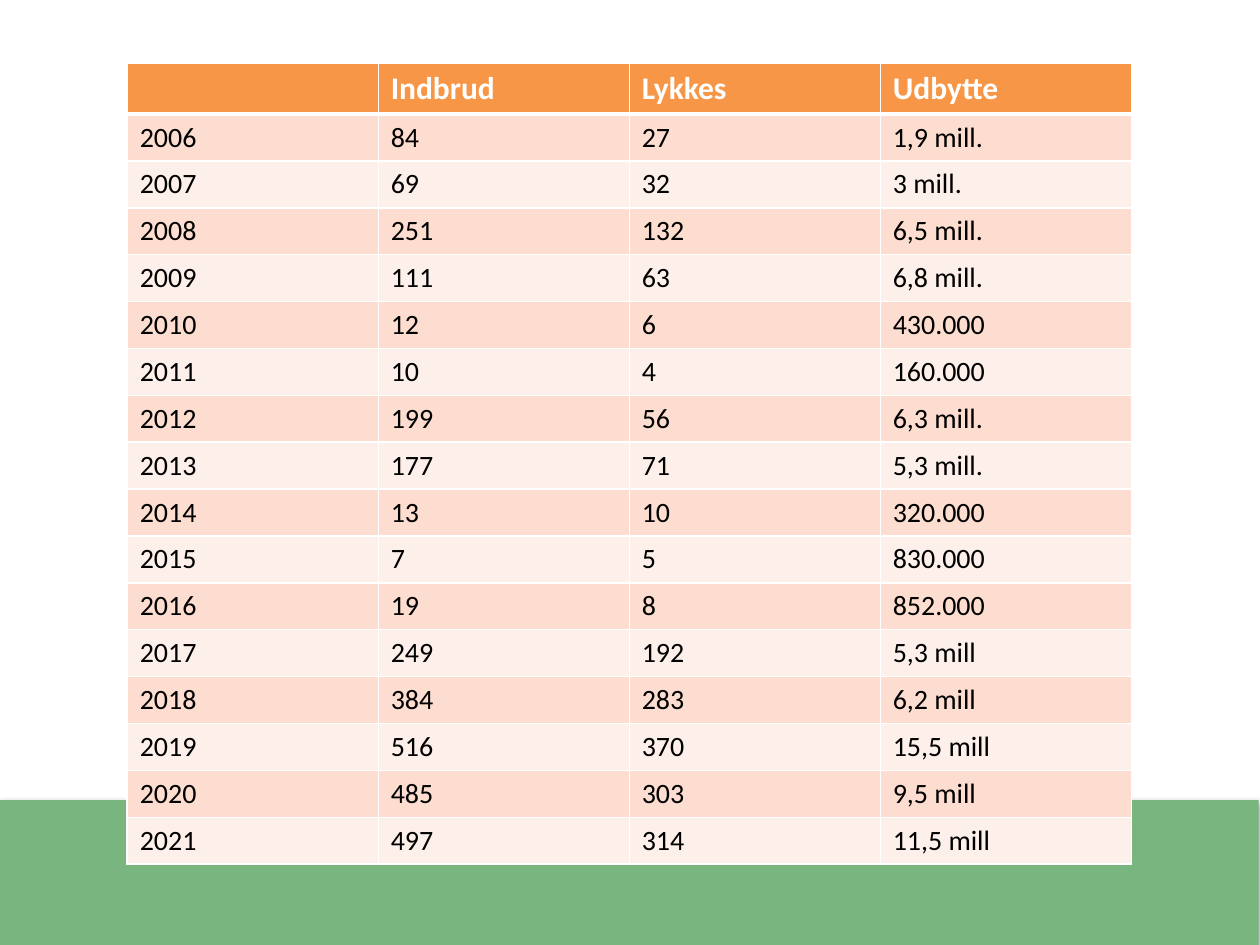
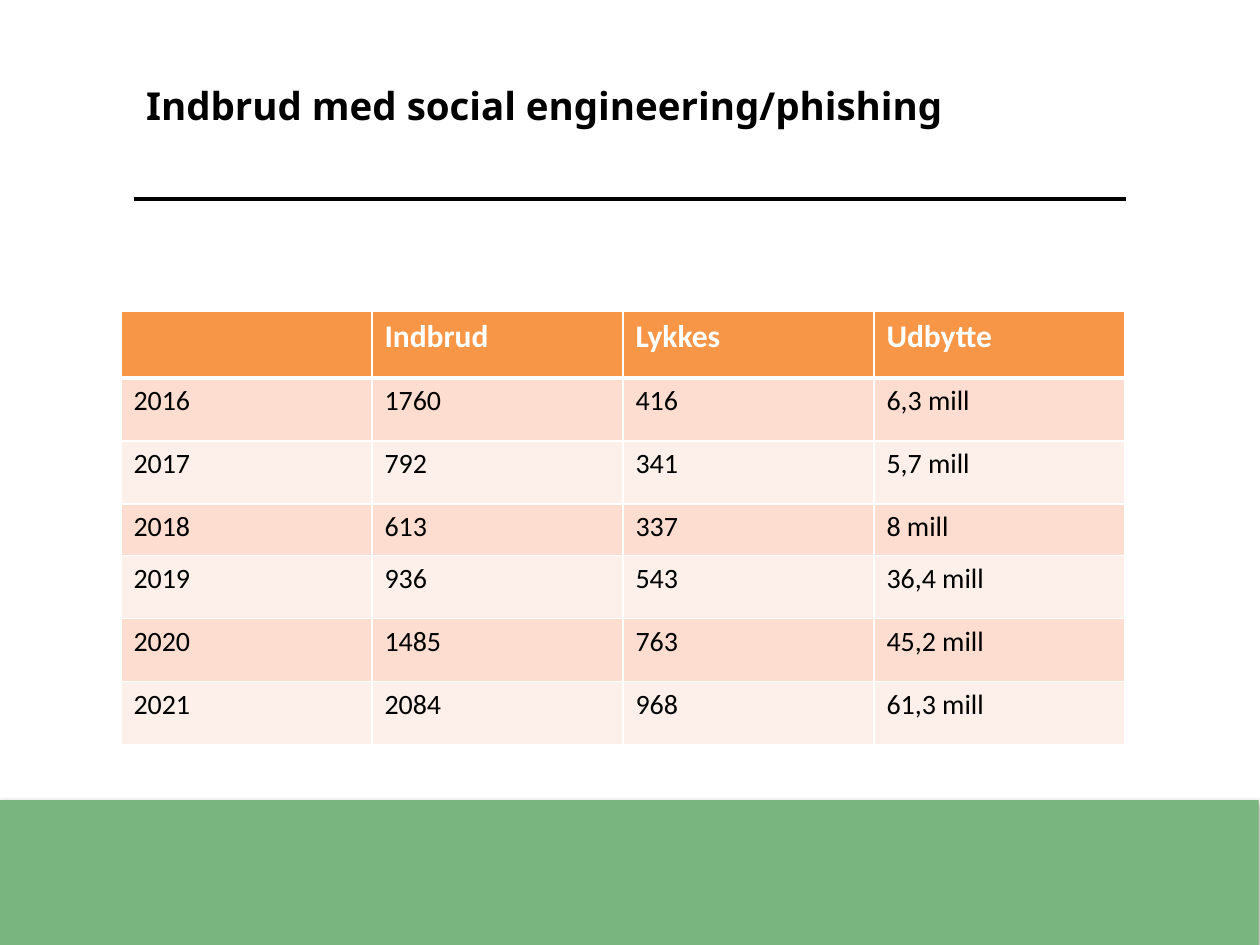
"""Builds two slides of break-in statistics by year."""
from lxml import etree
from pptx import Presentation
from pptx import util as u
from pptx.dml.color import RGBColor
from pptx.enum import shapes, text
from pptx.oxml import parse_xml
from pptx.oxml.ns import nsdecls, qn

COLORS = {"band": "79B57F", "head": "F79646", "odd": "FCDDCF",
          "even": "FDEFE9", "ink": "000000", "paper": "FFFFFF"}
HEADER = ("", "Indbrud", "Lykkes", "Udbytte")
COL_WIDTH = 7.97 / len(HEADER)
SLIDES = [
    {"title": None, "at": (1.01, 0.5), "heights": [0.39] + [0.37] * 16, "rows": [
        ("2006", "84", "27", "1,9 mill."),
        ("2007", "69", "32", "3 mill."),
        ("2008", "251", "132", "6,5 mill."),
        ("2009", "111", "63", "6,8 mill."),
        ("2010", "12", "6", "430.000"),
        ("2011", "10", "4", "160.000"),
        ("2012", "199", "56", "6,3 mill."),
        ("2013", "177", "71", "5,3 mill."),
        ("2014", "13", "10", "320.000"),
        ("2015", "7", "5", "830.000"),
        ("2016", "19", "8", "852.000"),
        ("2017", "249", "192", "5,3 mill"),
        ("2018", "384", "283", "6,2 mill"),
        ("2019", "516", "370", "15,5 mill"),
        ("2020", "485", "303", "9,5 mill"),
        ("2021", "497", "314", "11,5 mill")]},
    {"title": "Indbrud med social engineering/phishing", "at": (0.96, 2.47),
     "heights": [0.53, 0.5, 0.5, 0.41, 0.5, 0.5, 0.5], "rows": [
        ("2016", "1760", "416", "6,3 mill"),
        ("2017", "792", "341", "5,7 mill"),
        ("2018", "613", "337", "8 mill"),
        ("2019", "936", "543", "36,4 mill"),
        ("2020", "1485", "763", "45,2 mill"),
        ("2021", "2084", "968", "61,3 mill")]},
]


def rgb(name):
    return RGBColor.from_string(COLORS[name])


def write(tf, words, font="Calibri", size=16, bold=False, color="ink"):
    p = tf.paragraphs[0]
    p.alignment = text.PP_ALIGN.LEFT
    p.font.size = u.Pt(size)
    if words:
        r = p.add_run()
        r.text = words
        r.font.name, r.font.size, r.font.bold = font, u.Pt(size), bold
        r.font.color.rgb = rgb(color)


def set_borders(cell, top, bottom):
    tc_pr = cell._tc.get_or_add_tcPr()
    for side, width in (("L", 1), ("R", 1), ("T", top), ("B", bottom)):
        tc_pr.append(parse_xml(
            f'<a:ln{side} {nsdecls("a")} w="{u.Pt(width)}"><a:solidFill>'
            f'<a:srgbClr val="{COLORS["paper"]}"/></a:solidFill></a:ln{side}>'))


def add_grid(s, at, heights, rows):
    left, top = map(u.Inches, at)
    grid = s.shapes.add_table(len(heights), len(HEADER), left, top,
                              u.Inches(COL_WIDTH * len(HEADER)),
                              u.Inches(sum(heights))).table
    for col in grid.columns:
        col.width = u.Inches(COL_WIDTH)
    for i, (height, values) in enumerate(zip(heights, [HEADER] + rows)):
        grid.rows[i].height = u.Inches(height)
        for j, value in enumerate(values):
            cell = grid.cell(i, j)
            set_borders(cell, 3 if i == 1 else 1, 3 if i == 0 else 1)
            cell.fill.solid()
            if i == 0:
                cell.fill.fore_color.rgb = rgb("head")
                write(cell.text_frame, value, size=18, bold=True, color="paper")
            else:
                cell.fill.fore_color.rgb = rgb("odd" if i % 2 else "even")
                write(cell.text_frame, value)


def decorate(layout, s):
    band = s.shapes.add_shape(shapes.MSO_SHAPE.RECTANGLE, u.Inches(-0.01),
                              u.Inches(6.35), u.Inches(10), u.Inches(1.18))
    band.fill.solid()
    band.fill.fore_color.rgb = rgb("band")
    band.line.fill.background()
    band._element.spPr.append(parse_xml(
        f'<a:effectLst {nsdecls("a")}><a:outerShdw blurRad="{u.Pt(3.1)}" '
        f'dist="{u.Pt(1.6)}" dir="5400000" rotWithShape="0"><a:srgbClr '
        f'val="{COLORS["ink"]}"><a:alpha val="38000"/></a:srgbClr>'
        '</a:outerShdw></a:effectLst>'))
    rule = s.shapes.add_connector(shapes.MSO_CONNECTOR.STRAIGHT, u.Inches(1.06),
                                  u.Inches(1.58), u.Inches(8.94), u.Inches(1.58))
    rule.line.color.rgb = rgb("ink")
    rule.line.width = u.Pt(2.25)
    etree.SubElement(rule._element.spPr, qn("a:effectLst"))
    for sp in (band, rule):
        layout.shapes.element.append(sp._element)


prs = Presentation()
prs.slide_width, prs.slide_height = u.Inches(10), u.Inches(7.5)
layout = prs.slide_layouts.get_by_name("Title Only")
layout.background.fill.solid()
layout.background.fill.fore_color.rgb = rgb("paper")
for number, content in enumerate(SLIDES):
    s = prs.slides.add_slide(layout)
    if number == 0:
        decorate(layout, s)
    title = s.shapes.title
    if content["title"]:
        title.left, title.top = u.Inches(1.06), u.Inches(0.6)
        title.width, title.height = u.Inches(7.88), u.Inches(0.98)
        title.text_frame.vertical_anchor = text.MSO_ANCHOR.TOP
        write(title.text_frame, content["title"], font="Noto Sans", size=22, bold=True)
    else:
        title.element.getparent().remove(title.element)
    add_grid(s, content["at"], content["heights"], content["rows"])
prs.save("out.pptx")
